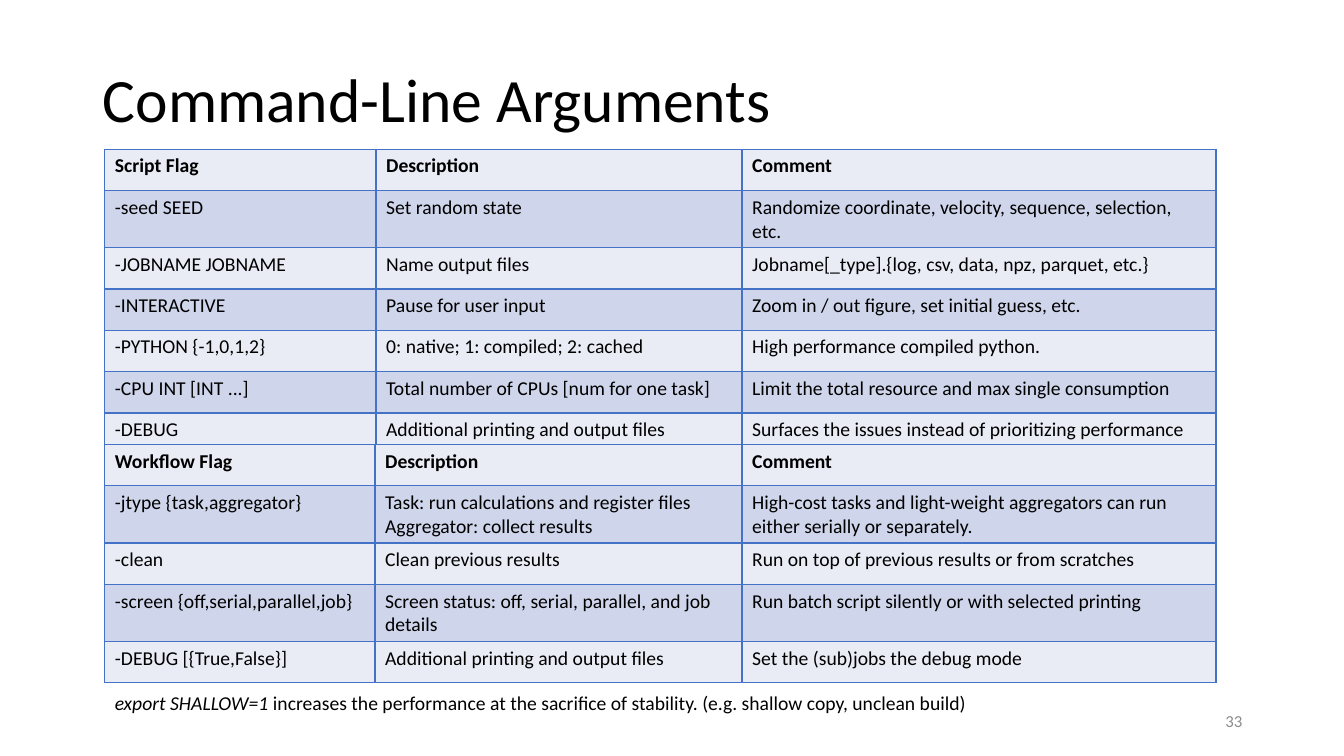
import pptx
import pptx.util
import pptx.dml.color
import pptx.enum.text
import pptx.oxml
import pptx.oxml.ns

Inches = pptx.util.Inches
ALIGN = pptx.enum.text.PP_ALIGN
MIDDLE = pptx.enum.text.MSO_ANCHOR.MIDDLE
BORDER_COLOR = "4472C4"
BAND_COLORS = ["E9EBF5", "CFD5EA"]
ROW_HEIGHT = 0.41

SCRIPT_FLAGS = [
    ["Script Flag", "Description", "Comment"],
    ["-seed SEED", "Set random state", "Randomize coordinate, velocity, sequence, selection, etc."],
    ["-JOBNAME JOBNAME", "Name output files", "Jobname[_type].{log, csv, data, npz, parquet, etc.}"],
    ["-INTERACTIVE", "Pause for user input", "Zoom in / out figure, set initial guess, etc."],
    ["-PYTHON {-1,0,1,2}", "0: native; 1: compiled; 2: cached", "High performance compiled python."],
    ["-CPU INT [INT ...]", "Total number of CPUs [num for one task]",
     "Limit the total resource and max single consumption"],
    ["-DEBUG", "Additional printing and output files", "Surfaces the issues instead of prioritizing performance"],
]
WORKFLOW_FLAGS = [
    ["Workflow Flag", "Description", "Comment"],
    ["-jtype {task,aggregator}", "Task: run calculations and register files\nAggregator: collect results",
     "High-cost tasks and light-weight aggregators can run either serially or separately."],
    ["-clean", "Clean previous results", "Run on top of previous results or from scratches"],
    ["-screen {off,serial,parallel,job}", "Screen status: off, serial, parallel, and job details",
     "Run batch script silently or with selected printing"],
    ["-DEBUG [{True,False}]", "Additional printing and output files", "Set the (sub)jobs the debug mode"],
]


def rgb(color):
    """Turn a hex string into a colour."""
    return pptx.dml.color.RGBColor.from_string(color)


def write(paragraph, text, size=14, color="000000", bold=False, italic=False, align=ALIGN.LEFT):
    """Add a formatted run to a paragraph."""
    run = paragraph.add_run()
    run.text = text
    run.font.name = "Calibri"
    run.font.size = pptx.util.Pt(size)
    run.font.color.rgb = rgb(color)
    run.font.bold = bold
    run.font.italic = italic
    paragraph.alignment = align


def add_borders(cell):
    """Draw a thin line on all four sides of a cell."""
    properties = cell._tc.get_or_add_tcPr()
    for side in ("lnL", "lnR", "lnT", "lnB"):
        properties.append(pptx.oxml.parse_xml(
            f'<a:{side} {pptx.oxml.ns.nsdecls("a")} w="12700"><a:solidFill>'
            f'<a:srgbClr val="{BORDER_COLOR}"/></a:solidFill></a:{side}>'))


def add_title(slide, left, top, width, height):
    """Place the slide title in its box."""
    title = slide.shapes.title
    title.left, title.top = Inches(left), Inches(top)
    title.width, title.height = Inches(width), Inches(height)
    title.text_frame.vertical_anchor = MIDDLE
    heading = title.text_frame.paragraphs[0]
    heading.line_spacing = 0.9
    write(heading, "Command-Line Arguments", size=44)


def add_flag_table(slide, flags, left, top, column_widths):
    """Place a banded table of flags with a bold header row."""
    table = slide.shapes.add_table(
        len(flags), len(column_widths), Inches(left), Inches(top),
        Inches(sum(column_widths)), Inches(ROW_HEIGHT * len(flags))).table
    for column, width in zip(table.columns, column_widths):
        column.width = Inches(width)
    for row_index, entries in enumerate(flags):
        table.rows[row_index].height = Inches(ROW_HEIGHT)
        for column_index, entry in enumerate(entries):
            cell = table.cell(row_index, column_index)
            add_borders(cell)
            cell.fill.solid()
            cell.fill.fore_color.rgb = rgb(BAND_COLORS[row_index % 2])
            for line_index, line in enumerate(entry.split("\n")):
                if line_index:
                    cell.text_frame.add_paragraph()
                write(cell.text_frame.paragraphs[-1], line, bold=row_index == 0)


def add_text_box(slide, left, top, width, height, wrap=True):
    """Place an empty text box and return its frame."""
    frame = slide.shapes.add_textbox(Inches(left), Inches(top), Inches(width), Inches(height)).text_frame
    frame.word_wrap = wrap
    return frame


def add_footnote(slide, left, top, width, height):
    """Place the note on the shallow mode."""
    note = add_text_box(slide, left, top, width, height, wrap=False)
    note.auto_size = pptx.enum.text.MSO_AUTO_SIZE.SHAPE_TO_FIT_TEXT
    write(note.paragraphs[0], "export SHALLOW=1", italic=True)
    write(note.paragraphs[0],
          " increases the performance at the sacrifice of stability. (e.g. shallow copy, unclean build)")


def add_page_number(slide, left, top, width, height):
    """Place the page number at the right of its box."""
    page = add_text_box(slide, left, top, width, height)
    page.vertical_anchor = MIDDLE
    write(page.paragraphs[0], "33", size=12, color="8C8C8C", align=ALIGN.RIGHT)


def main():
    """Build the slide and save it."""
    presentation = pptx.Presentation()
    presentation.slide_width, presentation.slide_height = Inches(13.33), Inches(7.5)
    slide = presentation.slides.add_slide(presentation.slide_layouts[5])
    add_title(slide, 0.92, 0.29, 11.5, 1.45)
    add_page_number(slide, 9.42, 6.95, 3, 0.4)
    add_flag_table(slide, SCRIPT_FLAGS, 1.04, 1.48, [2.69, 3.63, 4.7])
    add_flag_table(slide, WORKFLOW_FLAGS, 1.04, 4.41, [2.68, 3.64, 4.7])
    add_footnote(slide, 1.04, 6.81, 8.73, 0.34)
    presentation.save("out.pptx")


if __name__ == "__main__":
    main()
